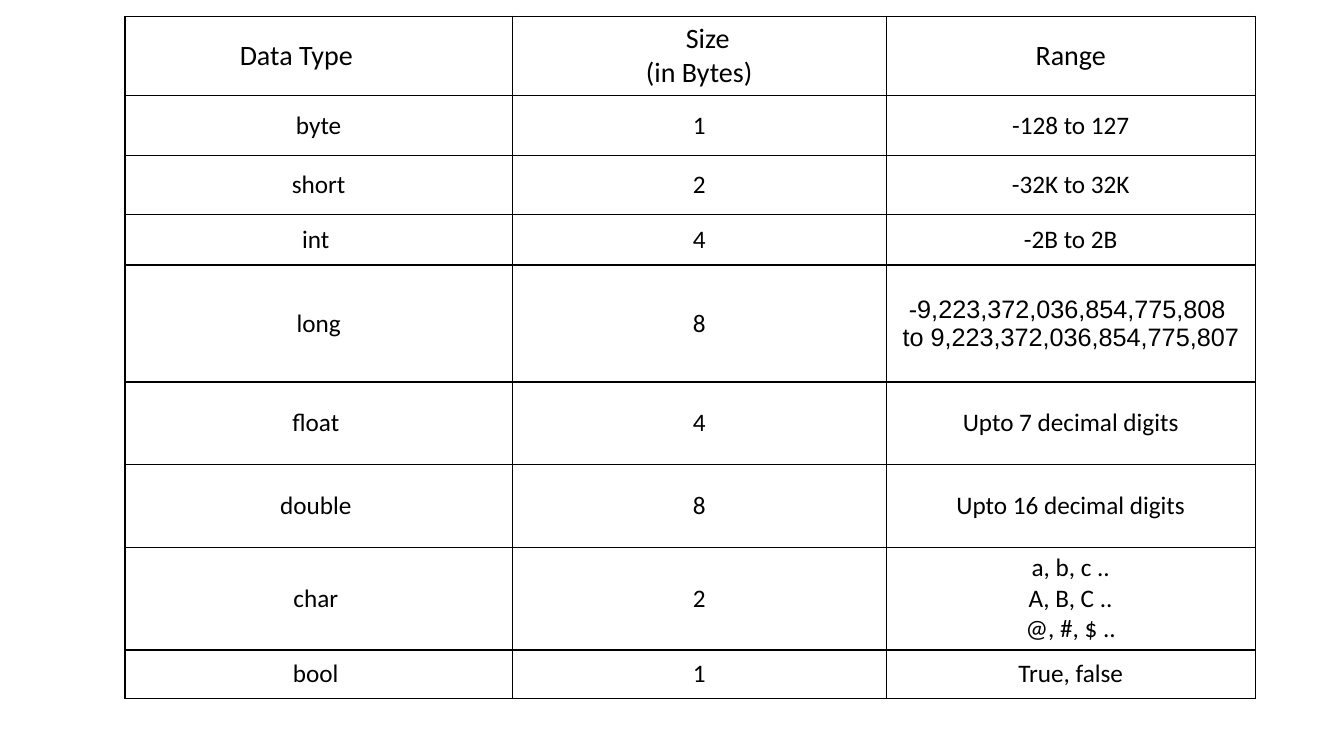
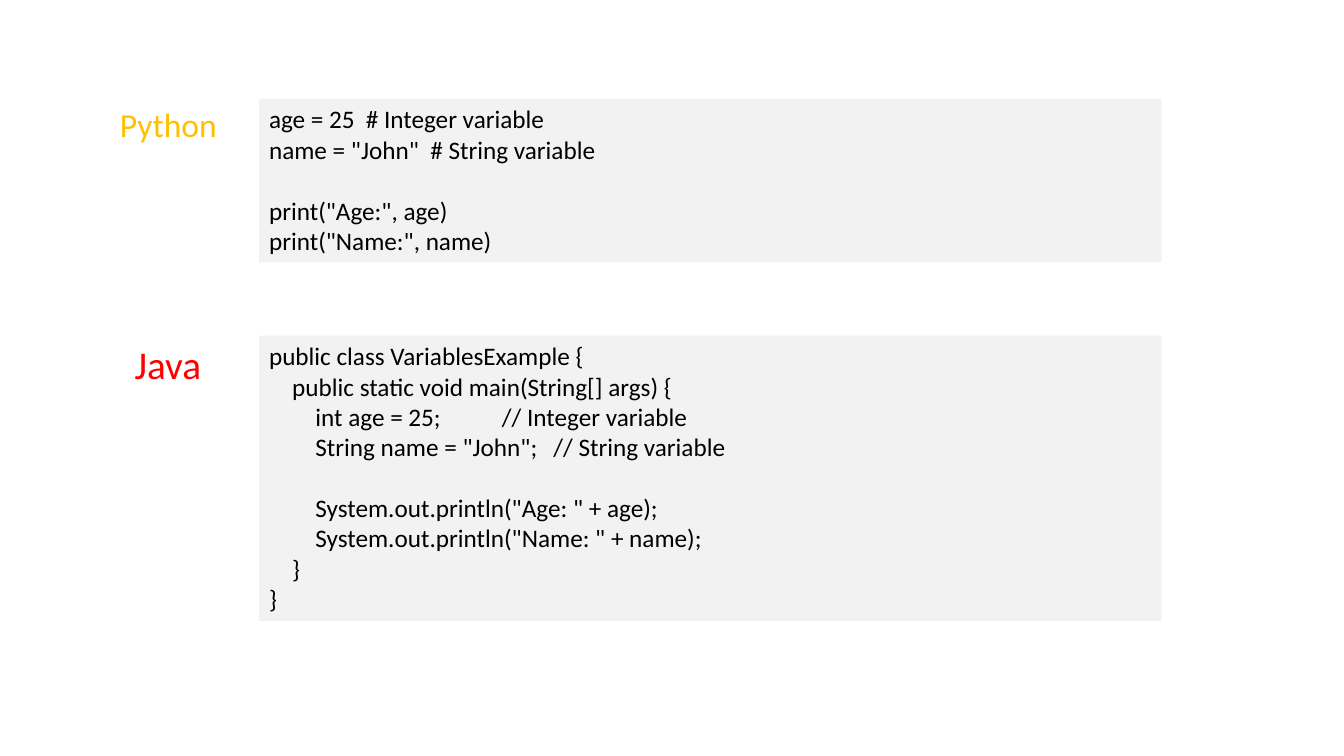
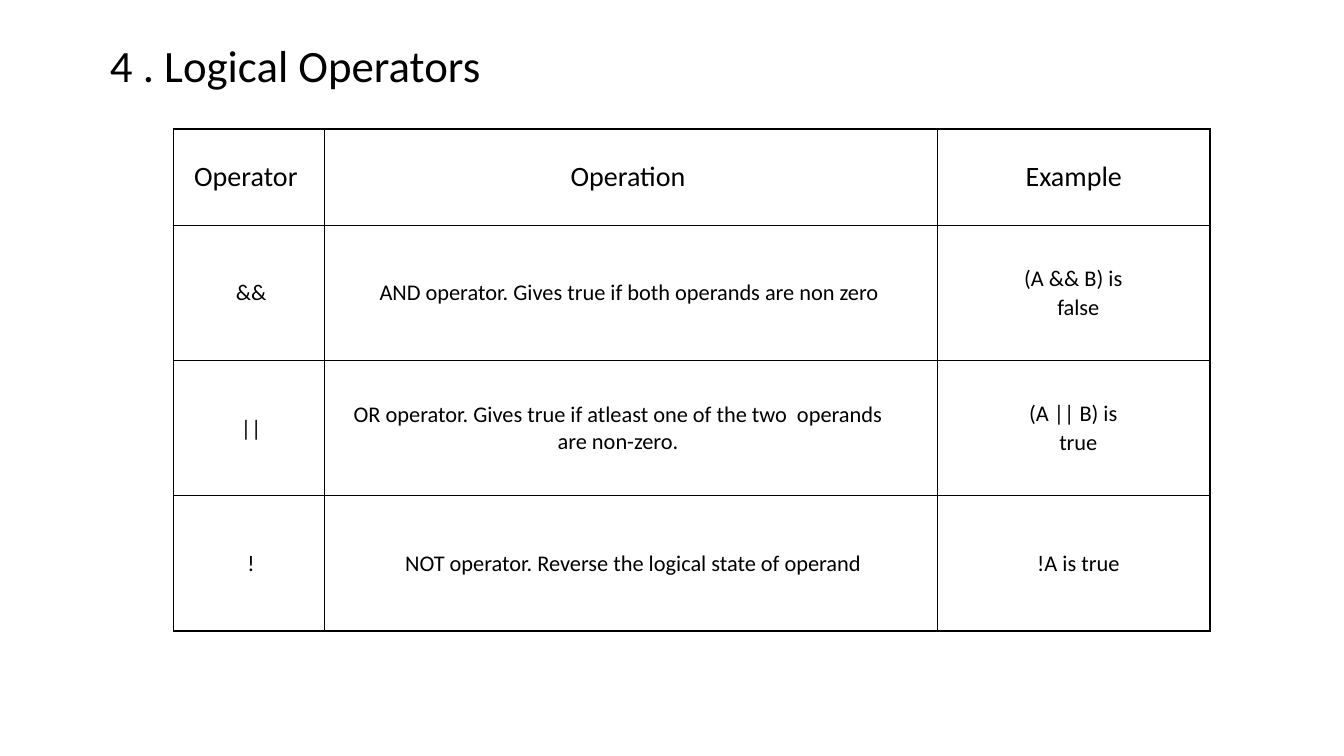
from lxml import etree
from pptx import Presentation
from pptx import util as u
from pptx.dml.color import RGBColor
from pptx.enum import shapes, text
from pptx.oxml.ns import qn

COLORS = {"ink": "000000", "panel": "F2F2F2", "java": "FF0000", "python": "FFC000"}
CENTER, LEFT = text.PP_ALIGN.CENTER, text.PP_ALIGN.LEFT

DATA_TYPES = {
    "at": (1.24, 0.16),
    "cols": [3.84, 3.71, 3.66],
    "rows": [0.79, 0.59, 0.59, 0.5, 1.16, 0.82, 0.82, 1.02, 0.48],
    "inset": 0.05, "body": 18, "indent": 0,
    "pads": {(0, 0): (0, 0.38)},
    "fonts": {(4, 2): "Arial"},
    "cells": [
        ["Data Type ", [("Size ", {"indent": 0.23}), "(in Bytes)"], "Range"],
        ["byte", "1", "-128 to 127"],
        ["short", "2", "-32K to 32K"],
        ["int ", "4", "-2B to 2B"],
        ["long", "8", ["-9,223,372,036,854,775,808 ", "to 9,223,372,036,854,775,807"]],
        ["float ", "4", "Upto 7 decimal digits"],
        ["double ", "8", "Upto 16 decimal digits"],
        ["char ", "2", ["a, b, c ..", "A, B, C ..", "@, #, $ .."]],
        ["bool ", "1", "True, false"],
    ],
}

OPERATORS = {
    "at": (1.72, 1.28),
    "cols": [1.5, 6.08, 2.7],
    "rows": [0.96] + [1.34] * 3,
    "inset": 0.07, "body": 16, "indent": 0.09,
    "pads": {(1, 1): (0, 0.13), (2, 1): (0.05, 0.4)},
    "fonts": {},
    "cells": [
        ["Operator ", "Operation ", "Example"],
        ["&& ", "AND operator. Gives true if both operands are non zero",
         ["(A && B) is  ", ("false", {"before": 0.7})]],
        ["|| ", "OR operator. Gives true if atleast one of the two  operands are non-zero.",
         ["(A || B) is  ", ("true", {"before": 0.7})]],
        ["! ", "NOT operator. Reverse the logical state of operand ", "!A is true"],
    ],
}

CODE_STEP, CODE_SIZE, CODE_LINE = 0.23, 18, 22
PYTHON_CODE = [
    (0, "age = 25", "# Integer variable", 0.96),
    (0, 'name = "John"', "# String variable", 1.6),
    (0, 'print("Age:", age)', {"before": CODE_LINE}),
    (0, 'print("Name:", name)'),
]
JAVA_CODE = [
    (0, "public class VariablesExample {"),
    (1, "public static void main(String[] args) {"),
    (2, "int age = 25;", "// Integer variable", 2.31),
    (2, 'String name = "John";', "// String variable", 2.82),
    (2, 'System.out.println("Age: " + age);', {"before": CODE_LINE}),
    (2, 'System.out.println("Name: " + name);'),
    (1, "}"),
    (0, "}"),
]
EXAMPLES = [
    ("Python", "python", 24, (0.77, 0.98, 1.8, 0.5), (2.57, 0.98, 8.95, 1.62), PYTHON_CODE),
    ("Java", "java", 28, (1.06, 3.33, 1.21, 0.57), (2.57, 3.33, 8.95, 2.83), JAVA_CODE),
]


def inches(values):
    return [u.Inches(v) for v in values]


def rgb(name):
    return RGBColor.from_string(COLORS[name])


def write(frame, lines, **shared):
    lines = lines if isinstance(lines, list) else [lines]
    for i, line in enumerate(lines):
        words, own = line if isinstance(line, tuple) else (line, {})
        style = {"size": 18, "color": "ink", "font": "Calibri", "align": CENTER,
                 "indent": 0, "before": 0, "stops": (), **shared, **own}
        para = frame.paragraphs[0] if i == 0 else frame.add_paragraph()
        para.alignment = style["align"]
        para.space_before = u.Pt(style["before"])
        props = para._p.get_or_add_pPr()
        props.set("marL", str(u.Inches(style["indent"])))
        if style["stops"]:
            stops = etree.SubElement(props, qn("a:tabLst"))
            for stop in style["stops"]:
                etree.SubElement(stops, qn("a:tab"), pos=str(u.Inches(stop)), algn="l")
        run = para.add_run()
        run.text = words
        run.font.size = u.Pt(style["size"])
        run.font.name = style["font"]
        run.font.color.rgb = rgb(style["color"])


def label(slide, words, at, wrap=True, **style):
    frame = slide.shapes.add_textbox(*inches(at)).text_frame
    frame.word_wrap = wrap
    write(frame, words, **style)


def code_line(depth, code, *extra):
    style = {"stops": [CODE_STEP * (n + 1) for n in range(depth)]}
    words = "\t" * depth + code
    if len(extra) == 2:
        comment, column = extra
        words += "\t" + comment
        style["stops"].append(column)
    elif extra:
        style.update(extra[0])
    return words, style


def code_panel(slide, code, at):
    panel = slide.shapes.add_shape(shapes.MSO_SHAPE.RECTANGLE, *inches(at))
    panel.shadow.inherit = False
    panel.fill.solid()
    panel.fill.fore_color.rgb = rgb("panel")
    panel.line.fill.background()
    panel.text_frame.word_wrap = True
    panel.text_frame.vertical_anchor = text.MSO_ANCHOR.TOP
    write(panel.text_frame, [code_line(*line) for line in code], size=CODE_SIZE, align=LEFT)


def outline(cell):
    cell.fill.background()
    props = cell._tc.get_or_add_tcPr()
    for i, side in enumerate(("lnL", "lnR", "lnT", "lnB")):
        edge = etree.Element(qn("a:" + side), w=str(u.Pt(1)))
        fill = etree.SubElement(edge, qn("a:solidFill"))
        etree.SubElement(fill, qn("a:srgbClr"), val=COLORS["ink"])
        props.insert(i, edge)


def grid(slide, data):
    cols, rows = data["cols"], data["rows"]
    box = inches((*data["at"], sum(cols), sum(rows)))
    table = slide.shapes.add_table(len(rows), len(cols), *box).table
    table.first_row = table.horz_banding = False
    for column, width in zip(table.columns, cols):
        column.width = u.Inches(width)
    for row, height in zip(table.rows, rows):
        row.height = u.Inches(height)
    for r, entries in enumerate(data["cells"]):
        for c, entry in enumerate(entries):
            cell = table.cell(r, c)
            left, right = data["pads"].get((r, c), (0, 0))
            cell.margin_left = u.Inches(data["inset"] + left)
            cell.margin_right = u.Inches(data["inset"] + right)
            cell.margin_top = cell.margin_bottom = u.Inches(data["inset"])
            cell.vertical_anchor = text.MSO_ANCHOR.MIDDLE
            write(cell.text_frame, entry, size=data["body"] if r else 20,
                  indent=data["indent"] if r else 0,
                  font=data["fonts"].get((r, c), "Calibri"))
            outline(cell)


def main():
    deck = Presentation()
    deck.slide_width, deck.slide_height = inches((13.33, 7.5))
    types, variables, logical = [deck.slides.add_slide(deck.slide_layouts[6]) for _ in range(3)]

    grid(types, DATA_TYPES)

    for language, color, size, label_at, panel_at, code in EXAMPLES:
        label(variables, language, label_at, size=size, color=color)
        code_panel(variables, code, panel_at)

    grid(logical, OPERATORS)
    label(logical, "4 . Logical Operators", (0.97, 0.33, 3.92, 0.64), wrap=False, size=32)

    deck.save("out.pptx")


if __name__ == "__main__":
    main()
